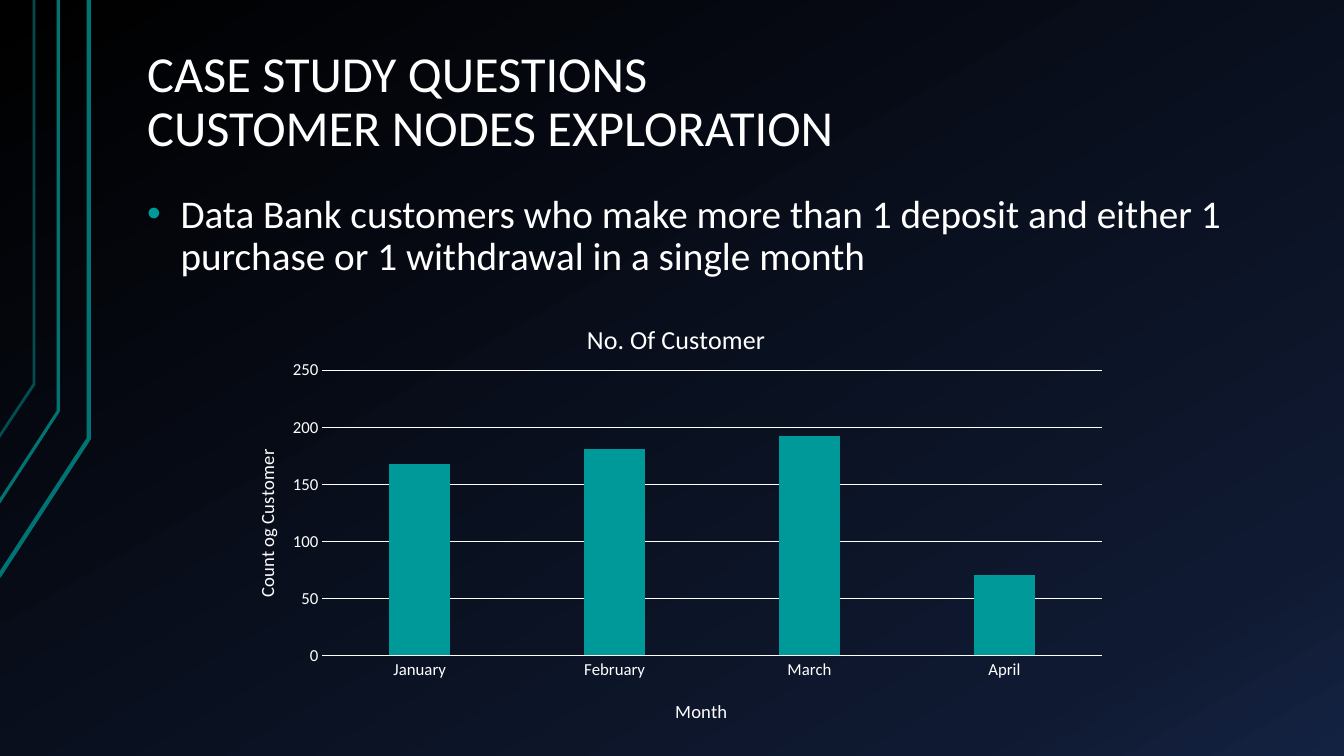
from copy import deepcopy

from lxml import etree
from pptx import Presentation
from pptx.chart.data import CategoryChartData
from pptx.dml.color import RGBColor
from pptx.enum.chart import XL_CHART_TYPE, XL_TICK_MARK
from pptx.enum.text import MSO_ANCHOR
from pptx.oxml.ns import qn
from pptx.util import Cm, Pt

COLUMNS = XL_CHART_TYPE.COLUMN_CLUSTERED
NO_TICK = XL_TICK_MARK.NONE
TOP, BOTTOM = MSO_ANCHOR.TOP, MSO_ANCHOR.BOTTOM

WHITE = RGBColor(0xFF, 0xFF, 0xFF)
TEAL = RGBColor(0x00, 0x99, 0x99)
DARK_TEAL = RGBColor(0x00, 0x73, 0x73)
BLACK = RGBColor(0x00, 0x00, 0x00)
NAVY = RGBColor(0x0F, 0x19, 0x31)
BLUE = RGBColor(0x14, 0x22, 0x42)
FONT = "Calibri"


def style_font(font, size):
    for name, value in {"name": FONT, "size": Pt(size), "bold": False}.items():
        setattr(font, name, value)
    font.color.rgb = WHITE


def place(part, index, **fractions):
    """Give a chart part a fixed place, in fractions of the chart."""
    old = part.find(qn("c:layout"))
    if old is not None:
        part.remove(old)
    layout = etree.Element(qn("c:layout"))
    manual = etree.SubElement(layout, qn("c:manualLayout"))
    if "w" in fractions:
        etree.SubElement(manual, qn("c:layoutTarget"), val="inner")
    for mode in ("xMode", "yMode"):
        etree.SubElement(manual, qn("c:" + mode), val="edge")
    for name, value in fractions.items():
        etree.SubElement(manual, qn("c:" + name), val=str(value))
    part.insert(index, layout)


deck = Presentation()
deck.slide_width, deck.slide_height = Cm(33.87), Cm(19.05)
slide = deck.slides.add_slide(deck.slide_layouts[6])

# Background gradient
backdrop = slide.background.fill
backdrop.gradient()
backdrop.gradient_angle = 300
stop_list = next(slide._element.iter(qn("a:gsLst")))
stop_list.append(deepcopy(stop_list[-1]))
for stop, position, color in zip(
    backdrop.gradient_stops, (0, 0.85, 1), (BLACK, NAVY, BLUE)
):
    stop.position = position
    stop.color.rgb = color

# Bent lines at the left edge: end height, bend x and y, width, opacity
for end_y, bend_x, bend_y, width, opacity in (
    (14.53, 2.24, 11.05, 3, 100),
    (12.67, 1.47, 10.36, 2.25, 100),
    (11.02, 0.86, 9.68, 2, 65),
):
    builder = slide.shapes.build_freeform(Cm(-0.03), Cm(end_y))
    builder.add_line_segments(
        [(Cm(bend_x), Cm(bend_y)), (Cm(bend_x), 0)], close=False
    )
    bend = builder.convert_to_shape()
    bend.shadow.inherit = False
    bend.fill.background()
    bend.line.color.rgb = DARK_TEAL
    bend.line.width = Pt(width)
    if opacity < 100:
        line_color = bend.line._ln.find(".//" + qn("a:srgbClr"))
        etree.SubElement(line_color, qn("a:alpha"), val=str(opacity * 1000))

# Heading and statement
paragraphs = []
for wording, top, height, anchor, size in (
    ("CASE STUDY QUESTIONS\vCUSTOMER NODES EXPLORATION", 0.76, 3.4, BOTTOM, 36),
    ("Data Bank customers who make more than 1 deposit and either 1 "
     "purchase or 1 withdrawal in a single month", 4.72, 12.4, TOP, 28),
):
    frame = slide.shapes.add_textbox(
        Cm(3.38), Cm(top), Cm(28.78), Cm(height)
    ).text_frame
    frame_format = {
        "word_wrap": True,
        "vertical_anchor": anchor,
        "margin_left": Cm(0.33),
        "margin_right": Cm(0.33),
        "margin_top": Cm(0.18),
        "margin_bottom": Cm(0.18),
    }
    for name, value in frame_format.items():
        setattr(frame, name, value)
    paragraph = frame.paragraphs[0]
    paragraph.text = wording
    paragraph.line_spacing = 0.9
    for run in paragraph.runs:
        style_font(run.font, size)
    paragraphs.append(paragraph)

# Bullet of the statement
statement = paragraphs[1]
statement.space_before = Pt(16)
properties = statement._p.get_or_add_pPr()
properties.set("marL", str(Cm(0.84)))
properties.set("indent", str(Cm(-0.84)))
bullet_color = etree.SubElement(properties, qn("a:buClr"))
etree.SubElement(bullet_color, qn("a:srgbClr"), val=str(TEAL))
etree.SubElement(properties, qn("a:buFont"), typeface="Arial")
etree.SubElement(properties, qn("a:buChar"), char="•")

# Chart of customers by month
customers = CategoryChartData()
customers.categories = ["January", "February", "March", "April"]
customers.add_series("Series 1", (168, 181, 192, 70))
chart = slide.shapes.add_chart(
    COLUMNS, Cm(5.64), Cm(7.42), Cm(22.58), Cm(11.23), customers
).chart
chart.has_legend = False
style_font(chart.font, 10)
plot = chart.plots[0]
for name, value in {
    "gap_width": 219, "overlap": -27, "vary_by_categories": False
}.items():
    setattr(plot, name, value)
bars = plot.series[0].format.fill
bars.solid()
bars.fore_color.rgb = TEAL
place(chart._chartSpace.chart.plotArea, 0, x=0.11, y=0.17, w=0.87, h=0.64)

# Axes
months, counts = chart.category_axis, chart.value_axis
counts_format = {"minimum_scale": 0, "maximum_scale": 250, "major_unit": 50}
for name, value in counts_format.items():
    setattr(counts, name, value)
for axis in (months, counts):
    axis.major_tick_mark = axis.minor_tick_mark = NO_TICK
    style_font(axis.tick_labels.font, 12)
counts.format.line.fill.background()
for rule in (months.format.line, counts.major_gridlines.format.line):
    rule.color.rgb = WHITE
    rule.width = Pt(0.75)

# Titles of the chart and its axes
for owner, wording, size, x, y in (
    (chart, "No. Of Customer", 18.6, 0.4, 0.05),
    (months, "Month", 13.3, 0.5, 0.9),
    (counts, "Count og Customer", 13.3, 0.03, 0.34),
):
    title = owner.chart_title if owner is chart else owner.axis_title
    title.text_frame.text = wording
    style_font(title.text_frame.paragraphs[0].runs[0].font, size)
    place(title._element, 1, x=x, y=y)
counts_body = counts.axis_title.text_frame._txBody.find(qn("a:bodyPr"))
counts_body.set("rot", "-5400000")
counts_body.set("vert", "horz")

deck.save("out.pptx")
